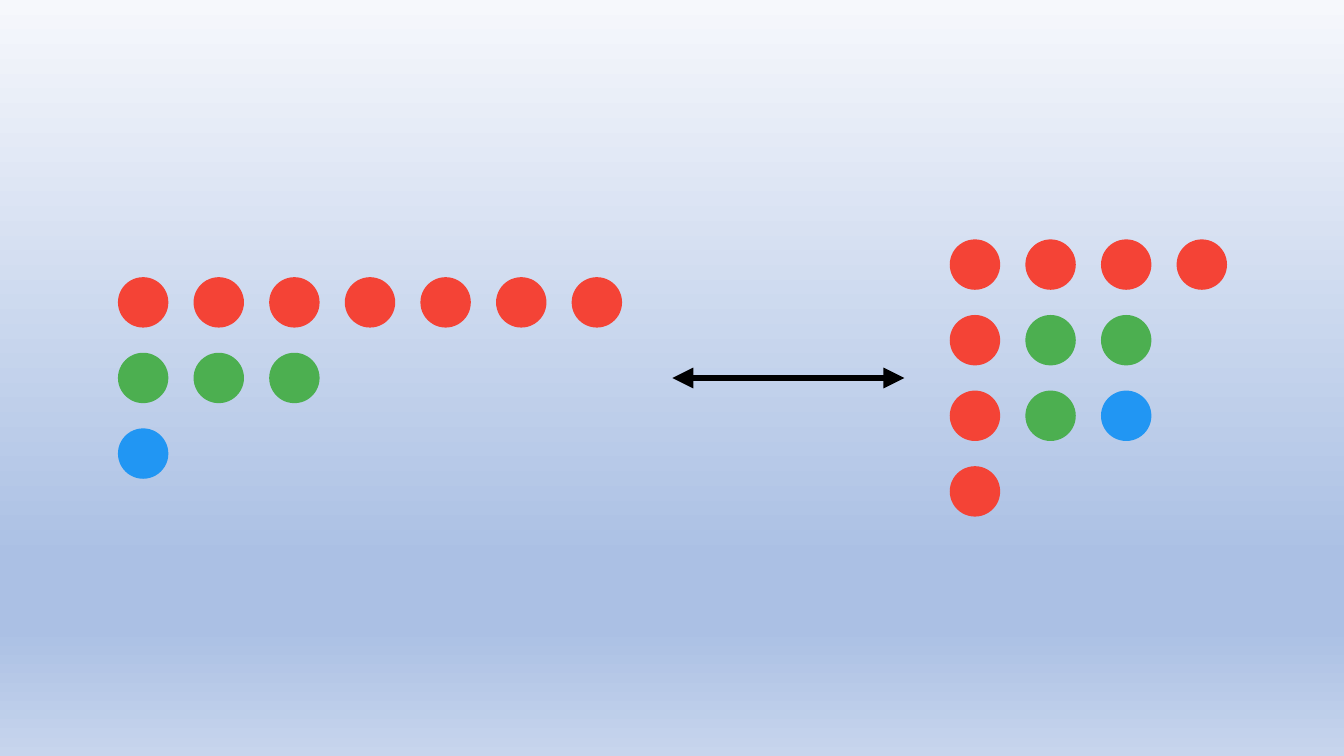
from lxml.etree import SubElement
from pptx import Presentation
from pptx.dml.color import RGBColor
from pptx.enum.shapes import MSO_CONNECTOR, MSO_SHAPE
from pptx.oxml.ns import qn
from pptx.util import Inches, Pt

RED = RGBColor(0xF4, 0x43, 0x36)
GREEN = RGBColor(0x4C, 0xAF, 0x50)
BLUE = RGBColor(0x21, 0x96, 0xF3)
BLACK = RGBColor(0, 0, 0)
PALE = RGBColor(0xF6, 0xF8, 0xFC)
MID = RGBColor(0xAB, 0xC0, 0xE4)
LIGHT = RGBColor(0xC7, 0xD5, 0xED)

HUES = [RED, GREEN, BLUE]
STOPS = [(0, PALE), (74, MID), (83, MID), (100, LIGHT)]
DOT = Inches(0.5)
STEP = Inches(0.75)
AXIS = Inches(3.75)


def paint_back(slide):
    fill = slide.background.fill
    fill.gradient()
    fill.gradient_angle = 270
    stops = next(slide.element.iter(qn("a:gsLst")))
    for stop in list(stops):
        stops.remove(stop)
    for percent, color in STOPS:
        stop = SubElement(stops, qn("a:gs"), pos=str(percent * 1000))
        SubElement(stop, qn("a:srgbClr"), val=str(color))


def add_dots(shapes, left, rows, hue):
    """Draw rows of dots centred on the axis; hue(row, col) picks the colour."""
    top = AXIS - (STEP * (len(rows) - 1) + DOT) // 2
    for row, count in enumerate(rows):
        for col in range(count):
            dot = shapes.add_shape(MSO_SHAPE.OVAL, left + col * STEP,
                                   top + row * STEP, DOT, DOT)
            dot.shadow.inherit = False
            dot.fill.solid()
            dot.fill.fore_color.rgb = HUES[hue(row, col)]
            dot.line.fill.background()


def add_arrow(shapes, left, right):
    arrow = shapes.add_connector(MSO_CONNECTOR.STRAIGHT, left, AXIS, right, AXIS)
    arrow.line.color.rgb = BLACK
    arrow.line.width = Pt(5)
    props = arrow.element.spPr
    line = props.find(qn("a:ln"))
    for end in ("a:headEnd", "a:tailEnd"):
        SubElement(line, qn(end), type="triangle")
    SubElement(props, qn("a:effectLst"))


def main():
    deck = Presentation()
    deck.slide_width = Inches(13.33)
    deck.slide_height = Inches(7.5)
    slide = deck.slides.add_slide(deck.slide_layouts[6])
    paint_back(slide)
    shapes = slide.shapes.add_group_shape().shapes
    # Each row on the left folds into a hook of the same colour on the right.
    add_dots(shapes, Inches(1.17), [7, 3, 1], lambda row, col: row)
    add_dots(shapes, Inches(9.42), [4, 3, 3, 1], min)
    add_arrow(shapes, Inches(6.67), Inches(8.97))
    deck.save("out.pptx")


if __name__ == "__main__":
    main()
